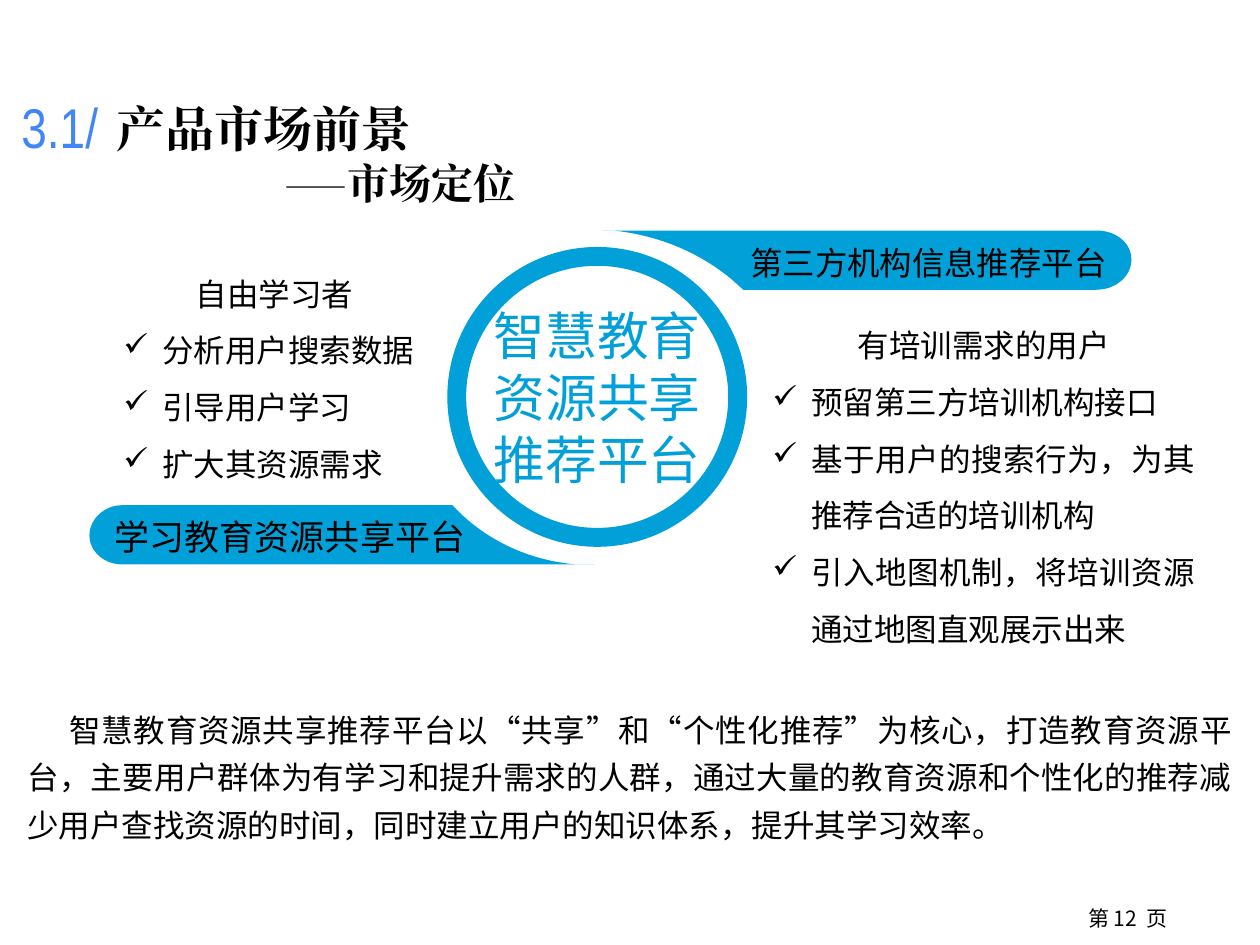
from lxml import etree
from pptx import Presentation
from pptx.dml.color import RGBColor
from pptx.enum.shapes import MSO_SHAPE
from pptx.enum.text import MSO_ANCHOR as ANCHOR, PP_ALIGN as ALIGN
from pptx.oxml.ns import qn
from pptx.util import Inches, Pt

SANS, SERIF = "Noto Sans CJK SC", "Times New Roman"
BLUE, BLACK = "02A0D8", "000000"
CURVE_STEPS = 16


def style(font, size, face=SANS, colour=BLACK, bold=False):
    """Set a font for both Latin and East Asian text."""
    font.size, font.name, font.bold = Pt(size), face, bold
    font.color.rgb = RGBColor.from_string(colour)
    etree.SubElement(font._element, qn("a:ea"), typeface=face)


def fill_frame(shape, lines, size, face=SANS, colour=BLACK, align=ALIGN.LEFT,
               spacing=None, anchor=ANCHOR.TOP, insets=(0.1, 0.05, 0.1, 0.05)):
    """Write paragraphs into a shape; insets run left, top, right, bottom.
    Lines that begin with ✓ become justified bullets."""
    frame = shape.text_frame
    frame.word_wrap, frame.vertical_anchor = True, anchor
    (frame.margin_left, frame.margin_top,
     frame.margin_right, frame.margin_bottom) = map(Inches, insets)
    for number, line in enumerate(lines):
        paragraph = frame.add_paragraph() if number else frame.paragraphs[0]
        paragraph.text = line.removeprefix("✓")
        paragraph.alignment, paragraph.line_spacing = align, spacing
        if line.startswith("✓"):
            paragraph.alignment = ALIGN.JUSTIFY
            properties = paragraph._p.get_or_add_pPr()
            properties.set("marL", str(Inches(0.31)))
            properties.set("indent", str(-Inches(0.31)))
            etree.SubElement(properties, qn("a:buChar"), char="✓")
        style(paragraph.font, size, face, colour)
    return frame


presentation = Presentation()
presentation.slide_width, presentation.slide_height = Inches(10), Inches(7.5)
slide = presentation.slides.add_slide(presentation.slide_layouts[6])
shapes = slide.shapes

# Page number and section number
page_box = shapes.add_textbox(Inches(8.34), Inches(7.14), Inches(1.22), Inches(0.39))
fill_frame(page_box, ["第 12  页"], 12, align=ALIGN.CENTER)
section_box = shapes.add_textbox(Inches(0.12), Inches(0.68), Inches(1.08), Inches(0.64))
fill_frame(section_box, ["3.1/"], 32, "Arial Narrow", "4285F7",
           anchor=ANCHOR.MIDDLE, insets=(0.05,) * 4)

# Banners: two numbers are a line end, six are a Bézier curve
banners = [
    ("第三方机构信息推荐平台", 18.5, ALIGN.RIGHT, [
        (4.82, 1.83), (8.7, 1.83), (8.86, 1.83, 8.98, 1.93, 8.98, 2.06),
        (8.98, 2.19, 8.86, 2.3, 8.7, 2.3), (5.9, 2.3), (5.81, 2.22),
        (5.56, 2.01, 5.24, 1.87, 4.87, 1.83), (4.78, 1.83)]),
    ("学习教育资源共享平台", 20, ALIGN.LEFT, [
        (0.97, 4.01), (3.59, 4.01), (3.67, 4.09),
        (3.91, 4.31, 4.22, 4.45, 4.57, 4.48), (4.72, 4.48), (0.97, 4.48),
        (0.83, 4.48, 0.71, 4.38, 0.71, 4.25),
        (0.71, 4.12, 0.83, 4.01, 0.97, 4.01)]),
]
for label, size, align, segments in banners:
    points = [segments[0]]
    for segment in segments[1:]:
        if len(segment) == 2:
            points.append(segment)
            continue
        (x0, y0), (x1, y1, x2, y2, x3, y3) = points[-1], segment
        for step in range(1, CURVE_STEPS + 1):
            t = step / CURVE_STEPS
            a, b, c, d = (1 - t) ** 3, 3 * t * (1 - t) ** 2, 3 * t * t * (1 - t), t ** 3
            points.append((a * x0 + b * x1 + c * x2 + d * x3,
                           a * y0 + b * y1 + c * y2 + d * y3))
    outline = [(Inches(x), Inches(y)) for x, y in points]
    builder = shapes.build_freeform(*outline[0])
    builder.add_line_segments(outline[1:], close=True)
    banner = builder.convert_to_shape()
    banner.shadow.inherit = False
    banner.fill.solid()
    banner.fill.fore_color.rgb = RGBColor.from_string(BLUE)
    banner.line.fill.background()
    fill_frame(banner, [label], size, align=align, spacing=1.1,
               anchor=ANCHOR.MIDDLE, insets=(0.2, 0.05, 0.2, 0.05))

# Central ring
ring = shapes.add_shape(MSO_SHAPE.DONUT, Inches(3.55), Inches(1.96), Inches(2.38), Inches(2.38))
ring.adjustments[0] = 0.063
ring.shadow.inherit = False
ring.fill.solid()
ring.fill.fore_color.rgb = RGBColor.from_string(BLUE)
ring.line.fill.background()
fill_frame(ring, ["智慧教育资源共享推荐平台"], 29.6, colour=BLUE, align=ALIGN.CENTER,
           anchor=ANCHOR.MIDDLE, insets=(0,) * 4)

# User groups on either side of the ring
learners = shapes.add_textbox(Inches(0.98), Inches(1.83), Inches(2.6), Inches(2.16))
fill_frame(learners, ["自由学习者", "✓分析用户搜索数据", "✓引导用户学习", "✓扩大其资源需求"],
           18, align=ALIGN.CENTER, spacing=1.5, anchor=ANCHOR.BOTTOM,
           insets=(0, 0.16, 0.2, 0.16))
trainees = shapes.add_textbox(Inches(5.93), Inches(2.28), Inches(3.56), Inches(2.73))
fill_frame(trainees, ["有培训需求的用户", "✓预留第三方培训机构接口",
                      "✓基于用户的搜索行为，为其推荐合适的培训机构",
                      "✓引入地图机制，将培训资源通过地图直观展示出来"],
           18, align=ALIGN.CENTER, spacing=1.5, insets=(0.2, 0.16, 0, 0.16))

# Summary
summary_box = shapes.add_textbox(Inches(0.12), Inches(5.52), Inches(9.76), Inches(1.24))
summary = fill_frame(summary_box, [
    "智慧教育资源共享推荐平台以“共享”和“个性化推荐”为核心，打造教育资源平台，"
    "主要用户群体为有学习和提升需求的人群，通过大量的教育资源和个性化的推荐"
    "减少用户查找资源的时间，同时建立用户的知识体系，提升其学习效率。"],
    18, align=ALIGN.JUSTIFY, spacing=1.25)
summary.paragraphs[0]._p.get_or_add_pPr().set("indent", str(Inches(0.33)))

# Title with a tabbed subtitle
title_box = shapes.add_textbox(Inches(0.83), Inches(0.73), Inches(4.11), Inches(0.98))
title = fill_frame(title_box, ["产品市场前景"], 28, SERIF)
title.paragraphs[0].font.bold = True
subtitle = title.add_paragraph()
tab_stops = etree.SubElement(subtitle._p.get_or_add_pPr(), qn("a:tabLst"))
etree.SubElement(tab_stops, qn("a:tab"), pos=str(Inches(1.33)), algn="l")
for text, size, face, bold in [("\t", 20, SANS, False), ("——", 18, SANS, False),
                               ("市场定位", 24, SERIF, True)]:
    run = subtitle.add_run()
    run.text = text
    style(run.font, size, face, bold=bold)

presentation.save("out.pptx")
